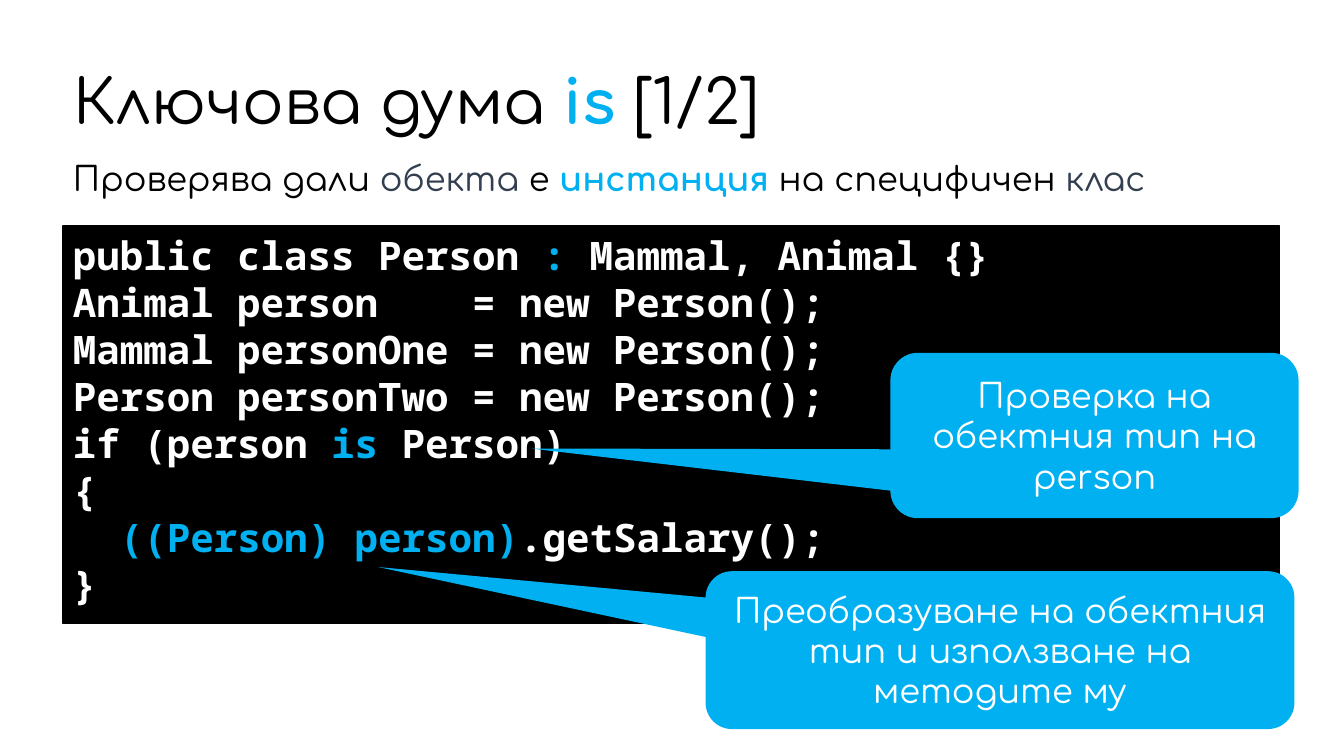
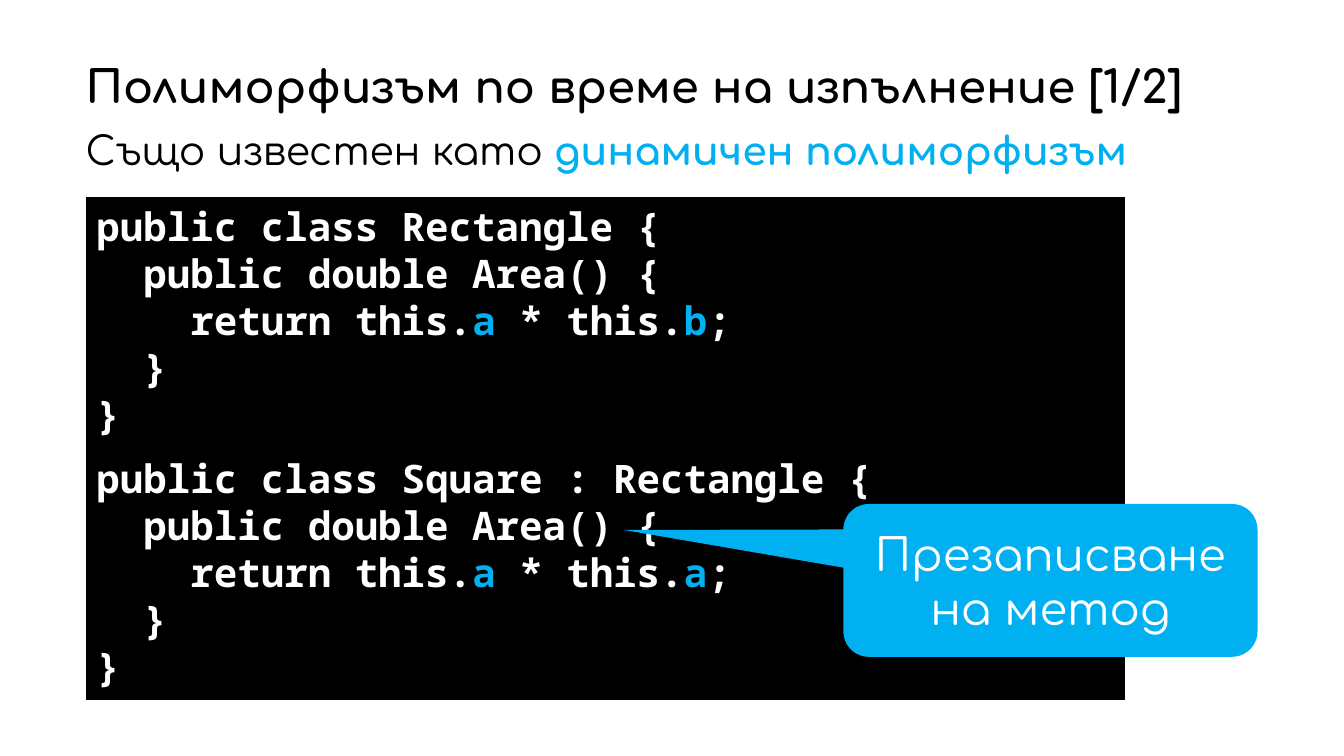
from pptx import Presentation
from pptx.dml.color import RGBColor
from pptx.enum.shapes import MSO_SHAPE as Shape
from pptx.enum.text import MSO_ANCHOR as Anchor, MSO_AUTO_SIZE as AutoSize, PP_ALIGN as Align
from pptx.util import Inches, Pt

COLORS = {"ink": "000000", "paper": "FFFFFF", "accent": "00B0F0", "slate": "333F50"}
SANS, MONO = "Comfortaa", "Noto Sans Mono"
COLUMNS, ROWS = 160, 90


def rgb(name):
    return RGBColor.from_string(COLORS[name])


def write(frame, lines, font=SANS, size=24, color="ink", bold=False, align=Align.LEFT,
          anchor=Anchor.TOP, autosize=AutoSize.NONE, spacing=None, gaps=None):
    frame.word_wrap = True
    frame.auto_size = autosize
    frame.vertical_anchor = anchor
    for index, line in enumerate(lines):
        paragraph = frame.add_paragraph() if index else frame.paragraphs[0]
        paragraph.alignment = align
        if spacing:
            paragraph.line_spacing = spacing
        if gaps and index in gaps:
            paragraph.space_before = Pt(gaps[index])
        for piece in [line] if isinstance(line, str) else line:
            words, tint = (piece, color) if isinstance(piece, str) else piece
            run = paragraph.add_run()
            run.text = words
            run.font.name = font
            run.font.size = Pt(size)
            run.font.bold = bold or tint == "accent"
            run.font.color.rgb = rgb(tint)


class Deck:
    def __init__(self):
        self.file = Presentation()
        self.file.slide_width = Inches(13.33)
        self.file.slide_height = Inches(7.5)
        self.column = self.file.slide_width / COLUMNS
        self.row = self.file.slide_height / ROWS
        self.slide = None

    def place(self, left, top, width, height):
        return (round(left * self.column), round(top * self.row),
                round(width * self.column), round(height * self.row))

    def title(self, line, area, **style):
        self.slide = self.file.slides.add_slide(self.file.slide_layouts[5])
        heading = self.slide.shapes.title
        heading.left, heading.top, heading.width, heading.height = self.place(*area)
        write(heading.text_frame, [line], anchor=Anchor.MIDDLE, spacing=0.9, **style)

    def lead(self, line, area, size):
        box = self.slide.shapes.add_textbox(*self.place(*area))
        write(box.text_frame, [line], size=size, spacing=0.9)

    def panel(self, kind, area, fill):
        panel = self.slide.shapes.add_shape(kind, *self.place(*area))
        panel.shadow.inherit = False
        panel.fill.solid()
        panel.fill.fore_color.rgb = rgb(fill)
        panel.line.fill.background()
        return panel

    def code(self, lines, area, gaps=None):
        listing = self.panel(Shape.RECTANGLE, area, "ink")
        listing.line.color.rgb = rgb("ink")
        listing.line.width = Pt(1)
        write(listing.text_frame, lines, font=MONO, size=28, color="paper", bold=True,
              autosize=AutoSize.SHAPE_TO_FIT_TEXT, gaps=gaps)

    def callout(self, line, area, target, size=24):
        left, top, width, height = area
        bubble = self.panel(Shape.ROUNDED_RECTANGULAR_CALLOUT, area, "accent")
        bubble.adjustments[0] = (target[0] - left) / width - 0.5
        bubble.adjustments[1] = (target[1] - top) / height - 0.5
        write(bubble.text_frame, [line], size=size, color="paper", align=Align.CENTER,
              anchor=Anchor.MIDDLE)


def accent(words):
    return words, "accent"


def keyword_slide(deck):
    deck.title(["Ключова дума ", accent("is"), " [1/2]"], (7.5, 7.1, 143.3, 10.8), size=44)
    deck.lead(["Проверява дали ", ("обекта ", "slate"), "е ", accent("инстанция "),
               "на специфичен ", ("клас", "slate")], (7.5, 18.7, 144.8, 7.4), 24)
    deck.code([
        ["public class Person ", accent(":"), " Mammal, Animal {}"],
        "Animal person    = new Person();",
        "Mammal personOne = new Person();",
        "Person personTwo = new Person();",
        ["if (person ", accent("is"), " Person)"],
        "{",
        ["  ", accent("((Person) person)"), ".getSalary();"],
        "}",
    ], (7.5, 26.9, 144.8, 47.3))
    deck.callout("Преобразуване на обектния тип и използване на методите му",
                 (84, 68, 70.1, 18.8), (45, 67.5))
    deck.callout("Проверка на обектния тип на person", (106, 42, 48.6, 19.7), (63.2, 53.4))


def polymorphism_slide(deck):
    def area_class(header, factor):
        return [header, "  public double Area() {",
                ["    return this.", accent("a"), " * this.", accent(factor), ";"],
                "  }", "}"]

    rectangle = area_class("public class Rectangle {", "b")
    square = area_class("public class Square : Rectangle {", "a")
    deck.title("Полиморфизъм по време на изпълнение [1/2]", (9, 4.6, 137.2, 12.1),
               size=32, bold=True)
    deck.lead(["Също известен като ", accent("динамичен полиморфизъм")],
              (9, 15.1, 143.5, 7.7), 28)
    deck.code(rectangle + square, (10.3, 23.5, 123.6, 59.8), gaps={len(rectangle): 12})
    deck.callout("Презаписване на метод", (100.4, 60, 49.3, 18.2), (74.3, 63.1), size=32)


def main():
    deck = Deck()
    keyword_slide(deck)
    polymorphism_slide(deck)
    deck.file.save("out.pptx")


if __name__ == "__main__":
    main()
